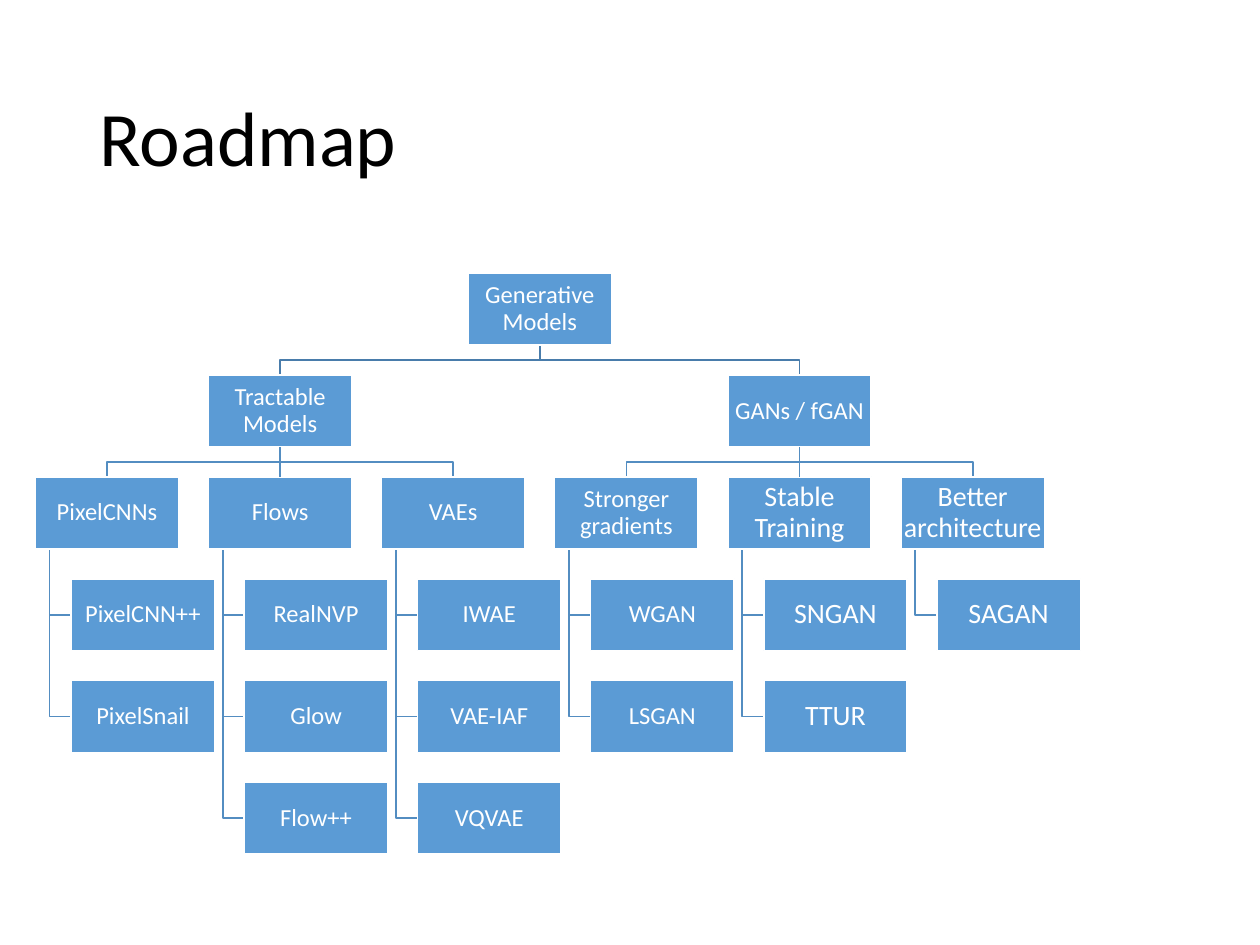
from dataclasses import dataclass

from pptx import Presentation
from pptx.dml.color import RGBColor
from pptx.enum.shapes import MSO_CONNECTOR, MSO_SHAPE
from pptx.enum.text import MSO_ANCHOR, PP_ALIGN
from pptx.oxml.ns import qn
from pptx.shapes.autoshape import Shape
from pptx.slide import Slide
from pptx.text.text import TextFrame
from pptx.util import Inches, Pt

RECTANGLE, STRAIGHT = MSO_SHAPE.RECTANGLE, MSO_CONNECTOR.STRAIGHT
MIDDLE, LEFT, CENTER = MSO_ANCHOR.MIDDLE, PP_ALIGN.LEFT, PP_ALIGN.CENTER

BLACK = RGBColor(0x00, 0x00, 0x00)
WHITE = RGBColor(0xFF, 0xFF, 0xFF)
NODE_BLUE = RGBColor(0x5B, 0x9B, 0xD5)
ROOT_LINK = RGBColor(0x49, 0x7C, 0xAB)
LINK_BLUE = RGBColor(0x53, 0x8D, 0xC1)

# The tree's grid, in inches
GRID_LEFT, GRID_TOP = 0.28, 2.17
COLUMN = (7.15 - GRID_LEFT) / 5
ROW = (6.21 - GRID_TOP) / 5
NODE_WIDTH, NODE_HEIGHT = 1.14, 0.57
LEAF_INDENT = 0.25 * NODE_WIDTH / COLUMN  # in columns
SPINE = 0.1 * NODE_WIDTH  # hanging line, from a topic's left side
BOTTOM, TOP = 2, 0

Point = tuple[float, float]


@dataclass(frozen=True)
class Node:
    label: str
    column: float
    row: int
    size: int = 14

    @property
    def left(self) -> float:
        return GRID_LEFT + self.column * COLUMN

    @property
    def top(self) -> float:
        return GRID_TOP + self.row * ROW

    @property
    def center(self) -> float:
        return self.left + NODE_WIDTH / 2

    @property
    def middle(self) -> float:
        return self.top + NODE_HEIGHT / 2

    @property
    def bottom(self) -> float:
        return self.top + NODE_HEIGHT


@dataclass(frozen=True)
class Topic:
    node: Node
    leaf_labels: tuple[str, ...]

    @property
    def leaves(self) -> list[Node]:
        head = self.node
        return [Node(label, head.column + LEAF_INDENT, head.row + i, head.size)
                for i, label in enumerate(self.leaf_labels, 1)]


@dataclass(frozen=True)
class Branch:
    node: Node
    topics: tuple[Topic, ...]


ROOT = Node("Generative Models", 2.5, 0)
BRANCHES = (
    Branch(Node("Tractable Models", 1, 1), (
        Topic(Node("PixelCNNs", 0, 2), ("PixelCNN++", "PixelSnail")),
        Topic(Node("Flows", 1, 2), ("RealNVP", "Glow", "Flow++")),
        Topic(Node("VAEs", 2, 2), ("IWAE", "VAE-IAF", "VQVAE")),
    )),
    Branch(Node("GANs / fGAN", 4, 1), (
        Topic(Node("Stronger gradients", 3, 2), ("WGAN", "LSGAN")),
        Topic(Node("Stable Training", 4, 2, 16), ("SNGAN", "TTUR")),
        Topic(Node("Better architecture", 5, 2, 16), ("SAGAN",)),
    )),
)


def write(frame: TextFrame, text: str, *, size: int, color: RGBColor,
          align: PP_ALIGN) -> None:
    frame.word_wrap = True
    frame.vertical_anchor = MIDDLE
    paragraph = frame.paragraphs[0]
    paragraph.alignment = align
    paragraph.line_spacing = 0.9
    run = paragraph.add_run()
    run.text = text
    run.font.name = "Calibri"
    run.font.size = Pt(size)
    run.font.color.rgb = color


def draw_polyline(slide: Slide, points: list[Point], color: RGBColor) -> None:
    start, *rest = [(Inches(x), Inches(y)) for x, y in points]
    builder = slide.shapes.build_freeform(*start)
    builder.add_line_segments(rest, close=False)
    line = builder.convert_to_shape()
    line.shadow.inherit = False
    line.fill.background()
    line.line.color.rgb = color
    line.line.width = Pt(1)


def draw_fork(slide: Slide, parent: Node, child: Node, color: RGBColor) -> None:
    """Link a parent's bottom to a child's top by a line with two bends."""
    bend = (parent.bottom + child.top) / 2
    draw_polyline(slide, [(parent.center, parent.bottom), (parent.center, bend),
                          (child.center, bend), (child.center, child.top)], color)


def draw_hanger(slide: Slide, topic: Node, leaf: Node) -> None:
    """Link a topic to a leaf hanging below it by a line with one bend."""
    spine = topic.left + SPINE
    draw_polyline(slide, [(spine, topic.bottom), (spine, leaf.middle),
                          (leaf.left, leaf.middle)], LINK_BLUE)


def draw_stem(slide: Slide, parent: Shape, child: Shape) -> None:
    stem = slide.shapes.add_connector(STRAIGHT, 0, 0, 0, 0)
    stem.begin_connect(parent, BOTTOM)
    stem.end_connect(child, TOP)
    stem.line.color.rgb = LINK_BLUE
    stem.line.width = Pt(1)
    properties = stem._element.spPr
    properties.append(properties.makeelement(qn("a:effectLst"), {}))


def draw_node(slide: Slide, node: Node) -> Shape:
    box = slide.shapes.add_shape(RECTANGLE, Inches(node.left), Inches(node.top),
                                 Inches(NODE_WIDTH), Inches(NODE_HEIGHT))
    box.shadow.inherit = False
    box.fill.solid()
    box.fill.fore_color.rgb = NODE_BLUE
    box.line.color.rgb = WHITE
    box.line.width = Pt(1)
    frame = box.text_frame
    frame.margin_left = frame.margin_right = Inches(0.01)
    frame.margin_top = frame.margin_bottom = Inches(0.01)
    write(frame, node.label, size=node.size, color=WHITE, align=CENTER)
    return box


def draw_links(slide: Slide) -> None:
    for branch in BRANCHES:
        draw_fork(slide, ROOT, branch.node, ROOT_LINK)
        for topic in branch.topics:
            if topic.node.column != branch.node.column:
                draw_fork(slide, branch.node, topic.node, LINK_BLUE)
            for leaf in topic.leaves:
                draw_hanger(slide, topic.node, leaf)


def draw_nodes(slide: Slide) -> None:
    """Draw every box, and the stem to the topic right below each branch."""
    draw_node(slide, ROOT)
    for branch in BRANCHES:
        branch_box = draw_node(slide, branch.node)
        for topic in branch.topics:
            topic_box = draw_node(slide, topic.node)
            if topic.node.column == branch.node.column:
                draw_stem(slide, branch_box, topic_box)
            for leaf in topic.leaves:
                draw_node(slide, leaf)


def main() -> None:
    deck = Presentation()
    deck.slide_width, deck.slide_height = Inches(10), Inches(7.5)
    slide = deck.slides.add_slide(deck.slide_layouts[5])
    title = slide.shapes.title
    title.left, title.top = Inches(0.69), Inches(0.4)
    title.width, title.height = Inches(8.62), Inches(1.45)
    write(title.text_frame, "Roadmap", size=44, color=BLACK, align=LEFT)
    draw_links(slide)
    draw_nodes(slide)
    deck.save("out.pptx")


if __name__ == "__main__":
    main()
